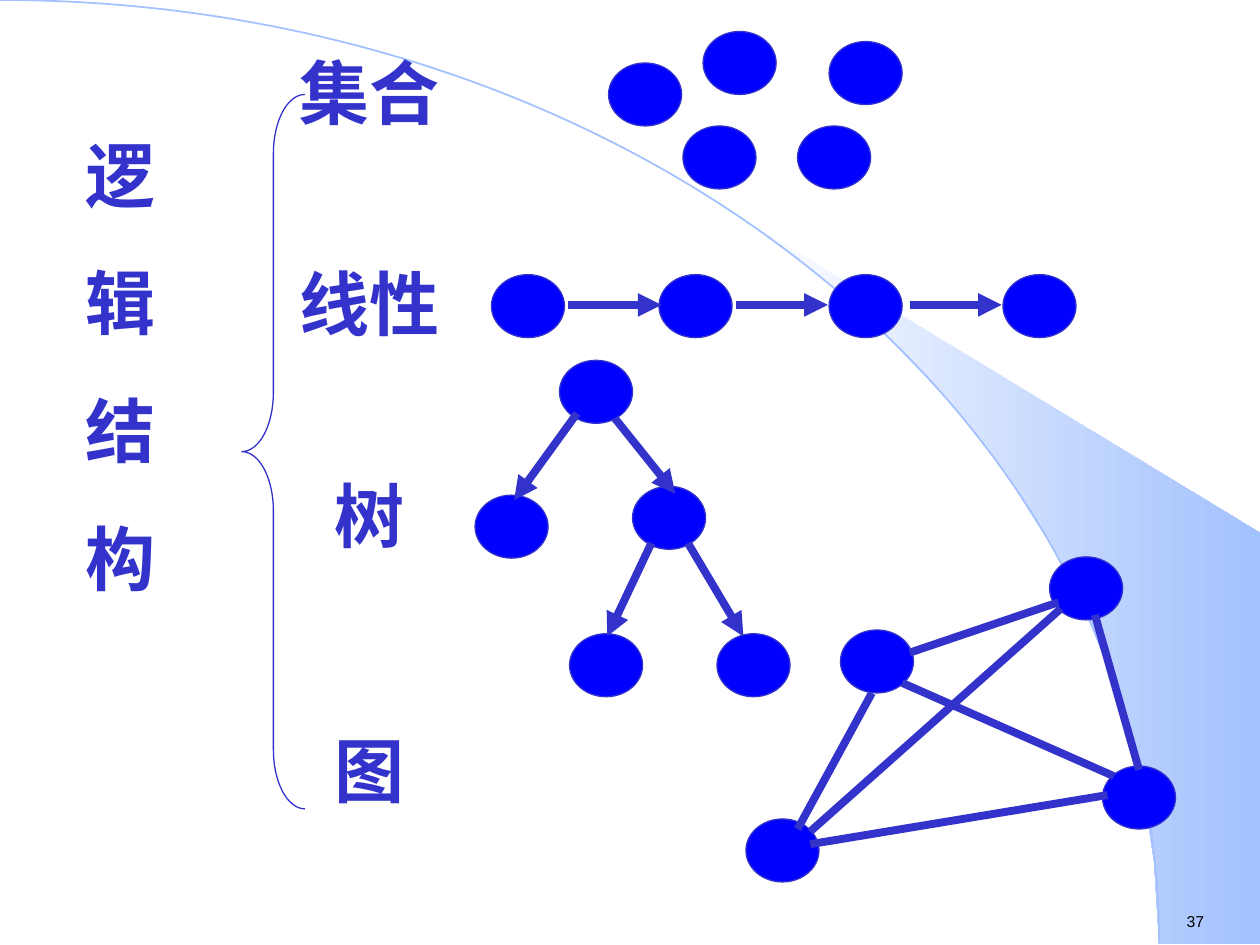
"""Build a slide that contrasts the four logical structures of data."""
from math import cos, radians, sin
from typing import NamedTuple

from lxml import etree
from pptx import Presentation
from pptx import util as u
from pptx.dml.color import RGBColor
from pptx.enum import shapes, text
from pptx.oxml.ns import qn

PX = 9144
WIDTH, HEIGHT = 1000, 750
NODE_WIDTH, NODE_HEIGHT = 58, 50
ARC_WIDTH, ARC_HEIGHT = 920, 749
INK, NODE_BLUE, PALE_BLUE, WHITE, BLACK = "3333CC", "0000FF", "A2C1FE", "FFFFFF", "000000"


class Edge(NamedTuple):
    """A straight line between two points in px."""

    x1: int
    y1: int
    x2: int
    y2: int


class Structure(NamedTuple):
    """The node corners and edges of one data structure."""

    nodes: list[tuple[int, int]]
    edges: list[Edge]
    directed: bool = False


class TextBlock(NamedTuple):
    """A text box whose paragraphs each carry a space before in points."""

    left: int
    top: int
    width: int
    height: int
    lines: list[tuple[str, int]]
    size: int = 40
    font: str = "Times New Roman"
    color: str = INK
    bold: bool = True
    align: text.PP_ALIGN = text.PP_ALIGN.CENTER


STRUCTURES = [
    Structure([(483, 50), (542, 100), (658, 33), (558, 25), (633, 100)], []),
    Structure(
        [(502, 386), (377, 393), (444, 286), (569, 503), (452, 503)],
        [Edge(458, 328, 408, 397), Edge(488, 332, 536, 392),
         Edge(517, 431, 482, 505), Edge(546, 431, 590, 505)],
        directed=True,
    ),
    Structure(
        [(667, 500), (875, 608), (592, 650), (833, 442)],
        [Edge(692, 550, 633, 658), Edge(869, 488, 904, 611), Edge(840, 478, 722, 518),
         Edge(879, 631, 643, 670), Edge(842, 483, 643, 660), Edge(716, 542, 884, 616)],
    ),
    Structure(
        [(390, 218), (523, 218), (658, 218), (796, 218)],
        [Edge(451, 242, 525, 242), Edge(584, 242, 657, 242), Edge(722, 242, 795, 242)],
        directed=True,
    ),
]

TEXT_BLOCKS = [
    TextBlock(58, 100, 75, 381, [("逻", 0), ("辑", 25), ("结", 25), ("构", 25)]),
    TextBlock(191, 34, 205, 616, [("集合", 0), ("线性", 73), ("树", 73), ("图", 98)]),
    TextBlock(932, 719, 60, 25, [("37", 0)], 9, "Arial", BLACK, False, text.PP_ALIGN.LEFT),
]


def rgb(value: str) -> RGBColor:
    """Return the colour for a hex string."""
    return RGBColor.from_string(value)


def px(*lengths: int) -> list[int]:
    """Turn px lengths into EMU."""
    return [length * PX for length in lengths]


def set_line(shape, color: str, points: float) -> None:
    """Give a shape or connector a solid line."""
    shape.line.color.rgb = rgb(color)
    shape.line.width = u.Pt(points)


def draw_outline(slide, points: list[tuple[int, int]], close: bool):
    """Draw a freeform through px points."""
    builder = slide.shapes.build_freeform(*points[0], scale=PX)
    builder.add_line_segments(points[1:], close=close)
    shape = builder.convert_to_shape()
    shape.shadow.inherit = False
    return shape


def draw_wedge(slide) -> None:
    """Draw the shaded wedge outside the background arc."""
    angles = [radians(degree) for degree in range(40, 91, 5)]
    rim = [(round(ARC_WIDTH * sin(angle)), round(ARC_HEIGHT * (1 - cos(angle))))
           for angle in angles]
    wedge = draw_outline(slide, rim + [(WIDTH, ARC_HEIGHT), (WIDTH, 423)], close=True)
    wedge.fill.gradient()
    wedge.fill.gradient_angle = 0
    for stop, color in zip(wedge.fill.gradient_stops, (WHITE, PALE_BLUE)):
        stop.color.rgb = rgb(color)
    wedge.line.fill.background()


def draw_arc(slide) -> None:
    """Draw the background arc as one curve through its control points."""
    controls = [(0, 0), (508, 0), (ARC_WIDTH, 335), (ARC_WIDTH, ARC_HEIGHT)]
    arc = draw_outline(slide, controls, close=False)
    outline = next(arc._element.iter(qn("a:path")))
    segments = outline.findall(qn("a:lnTo"))
    curve = etree.SubElement(outline, qn("a:cubicBezTo"))
    for segment in segments:
        curve.append(segment[0])
        outline.remove(segment)
    arc.fill.background()
    set_line(arc, PALE_BLUE, 1)


def draw_brace(slide) -> None:
    """Draw the brace that gathers the four structures."""
    brace = slide.shapes.add_shape(shapes.MSO_SHAPE.LEFT_BRACE, *px(192, 75, 50, 567))
    brace.adjustments[0] = 0.94
    brace.shadow.inherit = False
    brace.fill.background()
    set_line(brace, INK, 0.75)


def draw_text(slide, block: TextBlock) -> None:
    """Draw a text block, one paragraph for each line."""
    box = slide.shapes.add_textbox(*px(block.left, block.top, block.width, block.height))
    frame = box.text_frame
    frame.word_wrap = True
    frame.text = "\n".join(line for line, _ in block.lines)
    for paragraph, (_, space) in zip(frame.paragraphs, block.lines):
        paragraph.alignment = block.align
        paragraph.space_before = u.Pt(space)
        font = paragraph.runs[0].font
        font.name, font.size, font.bold = block.font, u.Pt(block.size), block.bold
        font.color.rgb = rgb(block.color)


def draw_node(slide, left: int, top: int) -> None:
    """Draw one data element."""
    node = slide.shapes.add_shape(
        shapes.MSO_SHAPE.OVAL, *px(left, top, NODE_WIDTH, NODE_HEIGHT))
    node.shadow.inherit = False
    node.fill.solid()
    node.fill.fore_color.rgb = rgb(NODE_BLUE)
    set_line(node, INK, 0.75)


def draw_edge(slide, edge: Edge, directed: bool) -> None:
    """Draw one relation, with an arrowhead if it is directed."""
    connector = slide.shapes.add_connector(shapes.MSO_CONNECTOR.STRAIGHT, *px(*edge))
    set_line(connector, INK, 4.5)
    if directed:
        etree.SubElement(connector.line._get_or_add_ln(), qn("a:tailEnd"), type="triangle")
    etree.SubElement(connector._element.spPr, qn("a:effectLst"))


def main() -> None:
    """Build and save the slide."""
    presentation = Presentation()
    presentation.slide_width, presentation.slide_height = px(WIDTH, HEIGHT)
    slide = presentation.slides.add_slide(presentation.slide_layouts[6])
    draw_wedge(slide)
    draw_arc(slide)
    draw_brace(slide)
    for block in TEXT_BLOCKS:
        draw_text(slide, block)
    for structure in STRUCTURES:
        for node in structure.nodes:
            draw_node(slide, *node)
        for edge in structure.edges:
            draw_edge(slide, edge, structure.directed)
    presentation.save("out.pptx")


if __name__ == "__main__":
    main()
